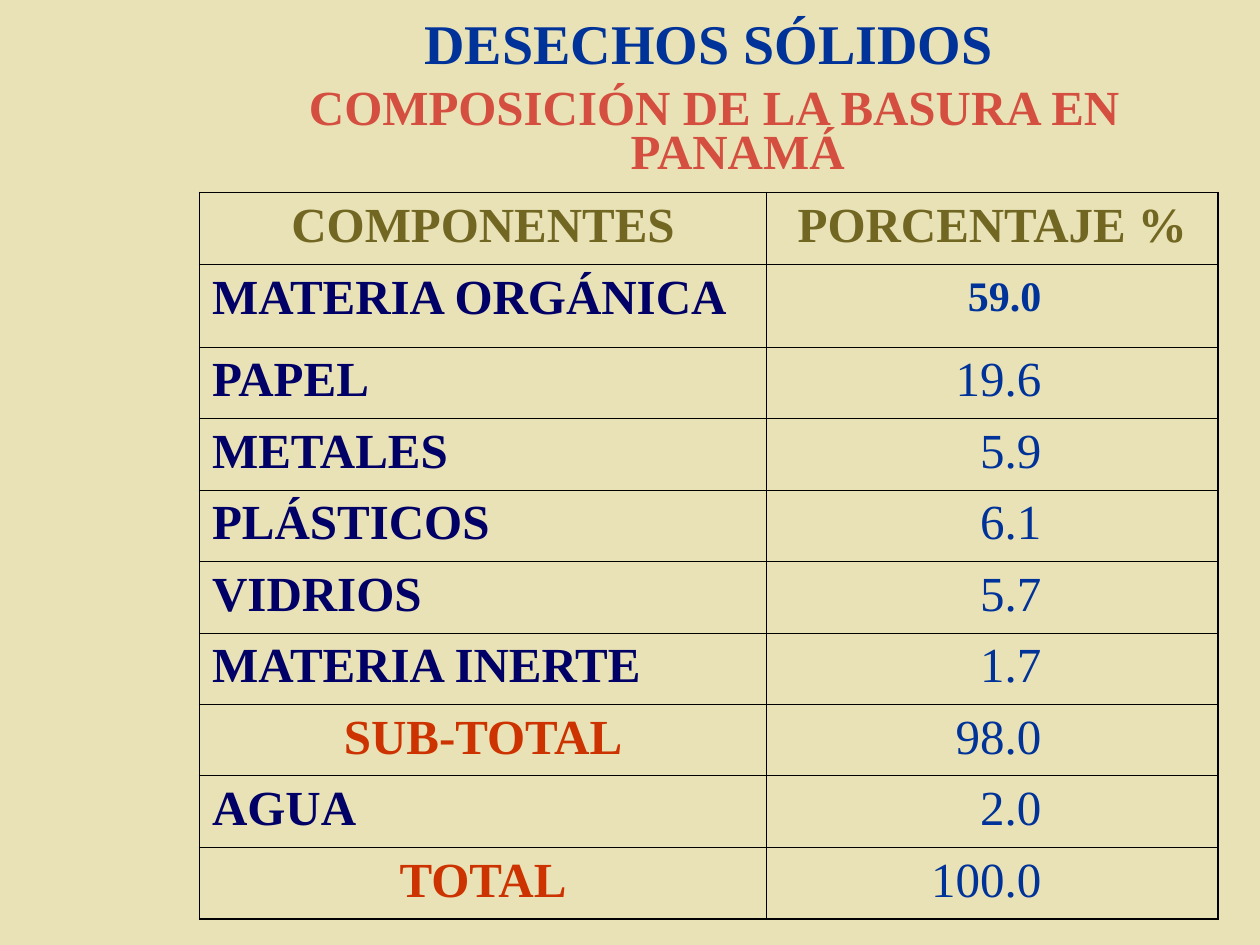
from dataclasses import dataclass

from lxml.etree import SubElement
from pptx import Presentation
from pptx.dml.color import RGBColor
from pptx.enum.text import MSO_ANCHOR, MSO_AUTO_SIZE, PP_ALIGN
from pptx.oxml.ns import qn
from pptx.util import Pt


@dataclass(frozen=True)
class Theme:
    font: str = "Times New Roman"
    background: str = "E9E2B6"
    title: str = "003399"
    subtitle: str = "D54F41"
    header: str = "726722"
    component: str = "000066"
    total: str = "CC3300"
    border: str = "000000"
    title_size: float = 32
    text_size: float = 28
    small_size: float = 24
    inner_line: float = 0.45
    outer_line: float = 1.08


THEME = Theme()

HEADERS = ("COMPONENTES", "PORCENTAJE %")
COMPOSITION = (
    ("MATERIA ORGÁNICA", "59.0"),
    ("PAPEL", "19.6"),
    ("METALES", "5.9"),
    ("PLÁSTICOS", "6.1"),
    ("VIDRIOS", "5.7"),
    ("MATERIA INERTE", "1.7"),
    ("SUB-TOTAL", "98.0"),
    ("AGUA", "2.0"),
    ("TOTAL", "100.0"),
)
TOTALS = ("SUB-TOTAL", "TOTAL")
MAIN_COMPONENT = "MATERIA ORGÁNICA"

COLUMN_WIDTHS = (324, 258)
ROW_HEIGHT = 40.75
MAIN_ROW_HEIGHT = 47.4
PERCENT_MARGIN = 101


def write(frame, text, color, size=THEME.text_size, bold=True, align=PP_ALIGN.CENTER):
    frame.text = text
    paragraph = frame.paragraphs[0]
    paragraph.alignment = align
    font = paragraph.font
    font.name, font.size, font.bold = THEME.font, Pt(size), bold
    font.color.rgb = RGBColor.from_string(color)
    return paragraph


def place(shape, left, top, width, height):
    shape.left, shape.top = Pt(left), Pt(top)
    shape.width, shape.height = Pt(width), Pt(height)


def add_title(slide):
    title = slide.shapes.title
    place(title, 108, 12, 594, 24)
    frame = title.text_frame
    write(frame, "DESECHOS SÓLIDOS", THEME.title, THEME.title_size)
    frame.vertical_anchor = MSO_ANCHOR.MIDDLE
    frame.auto_size = MSO_AUTO_SIZE.NONE
    frame.word_wrap = True


def add_subtitle(slide):
    box = slide.shapes.add_textbox(Pt(108), Pt(48), Pt(600), Pt(474))
    box.text_frame.word_wrap = True
    paragraph = write(box.text_frame, "COMPOSICIÓN DE LA BASURA EN PANAMÁ", THEME.subtitle)
    paragraph.line_spacing = 0.75
    properties = paragraph._p.get_or_add_pPr()
    properties.set("marL", str(Pt(27)))
    properties.set("indent", str(Pt(-27)))


def set_borders(cell, outer_sides):
    """Draw all four cell borders, heavier on the sides at the table's edge."""
    properties = cell._tc.get_or_add_tcPr()
    for side in "LRTB":
        width = THEME.outer_line if side in outer_sides else THEME.inner_line
        line = SubElement(properties, qn(f"a:ln{side}"), w=str(Pt(width)))
        fill = SubElement(line, qn("a:solidFill"))
        SubElement(fill, qn("a:srgbClr"), val=THEME.border)


def style_cells(table):
    last_row, last_column = len(table.rows) - 1, len(table.columns) - 1
    for row_index, row in enumerate(table.rows):
        for column_index, cell in enumerate(row.cells):
            edges = {
                "L": column_index == 0,
                "R": column_index == last_column,
                "T": row_index == 0,
                "B": row_index == last_row,
            }
            set_borders(cell, [side for side, outer in edges.items() if outer])
            cell.fill.background()


def write_composition_row(table, row_index, component, percent):
    name_cell, percent_cell = table.rows[row_index].cells
    if component in TOTALS:
        write(name_cell.text_frame, component, THEME.total)
    else:
        write(name_cell.text_frame, component, THEME.component, align=PP_ALIGN.LEFT)
    is_main = component == MAIN_COMPONENT
    size = THEME.small_size if is_main else THEME.text_size
    write(percent_cell.text_frame, percent, THEME.title, size, is_main, PP_ALIGN.RIGHT)
    percent_cell.margin_right = Pt(PERCENT_MARGIN)
    if is_main:
        table.rows[row_index].height = Pt(MAIN_ROW_HEIGHT)
        percent_cell.margin_top = Pt(6)


def add_composition_table(slide):
    row_count = len(COMPOSITION) + 1
    table = slide.shapes.add_table(
        row_count, len(HEADERS), Pt(114), Pt(110),
        Pt(sum(COLUMN_WIDTHS)), Pt(ROW_HEIGHT * row_count),
    ).table
    table.first_row = table.horz_banding = False
    for column, width in zip(table.columns, COLUMN_WIDTHS):
        column.width = Pt(width)
    for row in table.rows:
        row.height = Pt(ROW_HEIGHT)

    style_cells(table)
    for cell, header in zip(table.rows[0].cells, HEADERS):
        write(cell.text_frame, header, THEME.header)
    for row_index, (component, percent) in enumerate(COMPOSITION, start=1):
        write_composition_row(table, row_index, component, percent)


def main():
    deck = Presentation()
    deck.slide_width, deck.slide_height = Pt(720), Pt(540)
    slide = deck.slides.add_slide(deck.slide_layouts.get_by_name("Title Only"))
    slide.background.fill.solid()
    slide.background.fill.fore_color.rgb = RGBColor.from_string(THEME.background)
    add_title(slide)
    add_subtitle(slide)
    add_composition_table(slide)
    deck.save("out.pptx")


if __name__ == "__main__":
    main()
